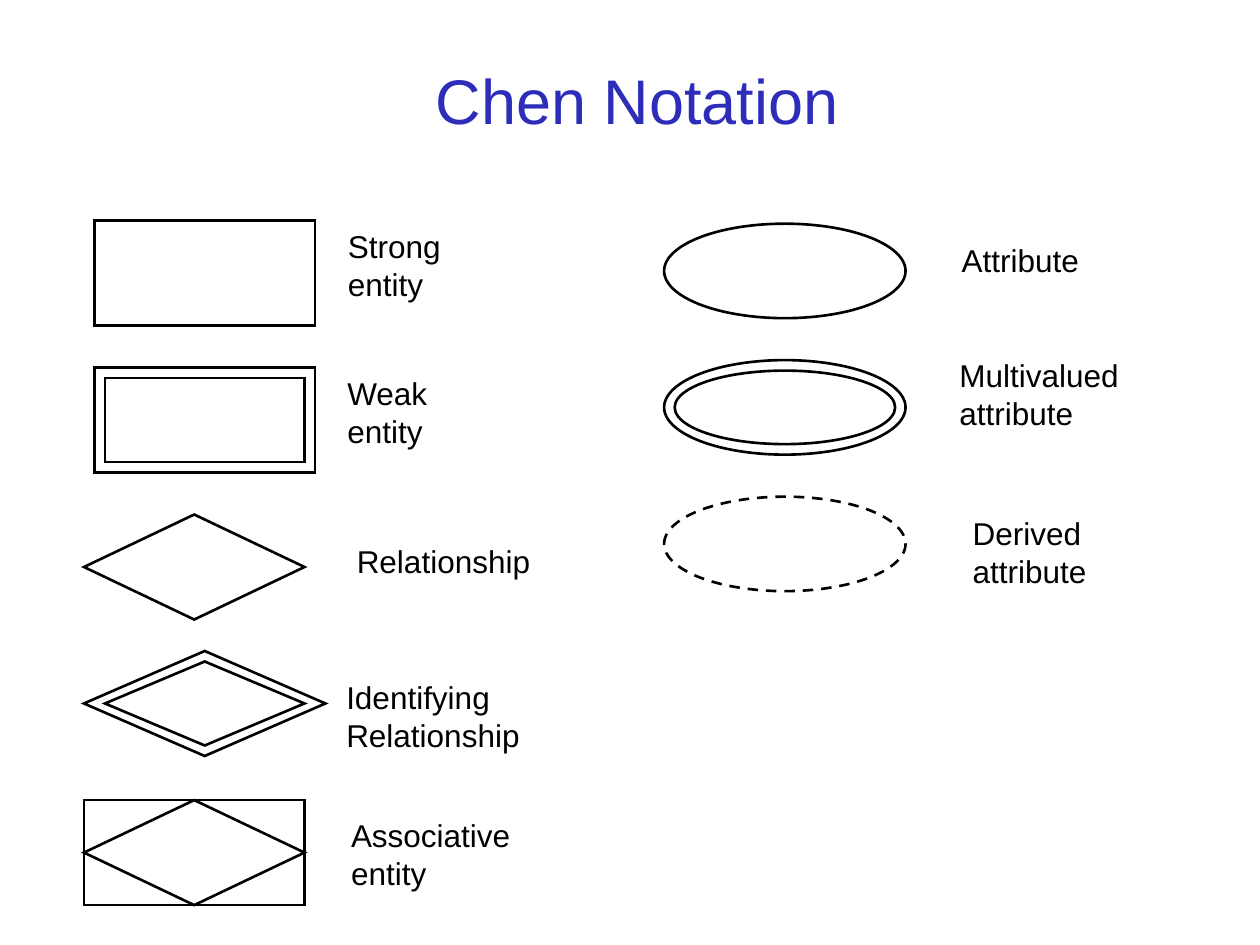
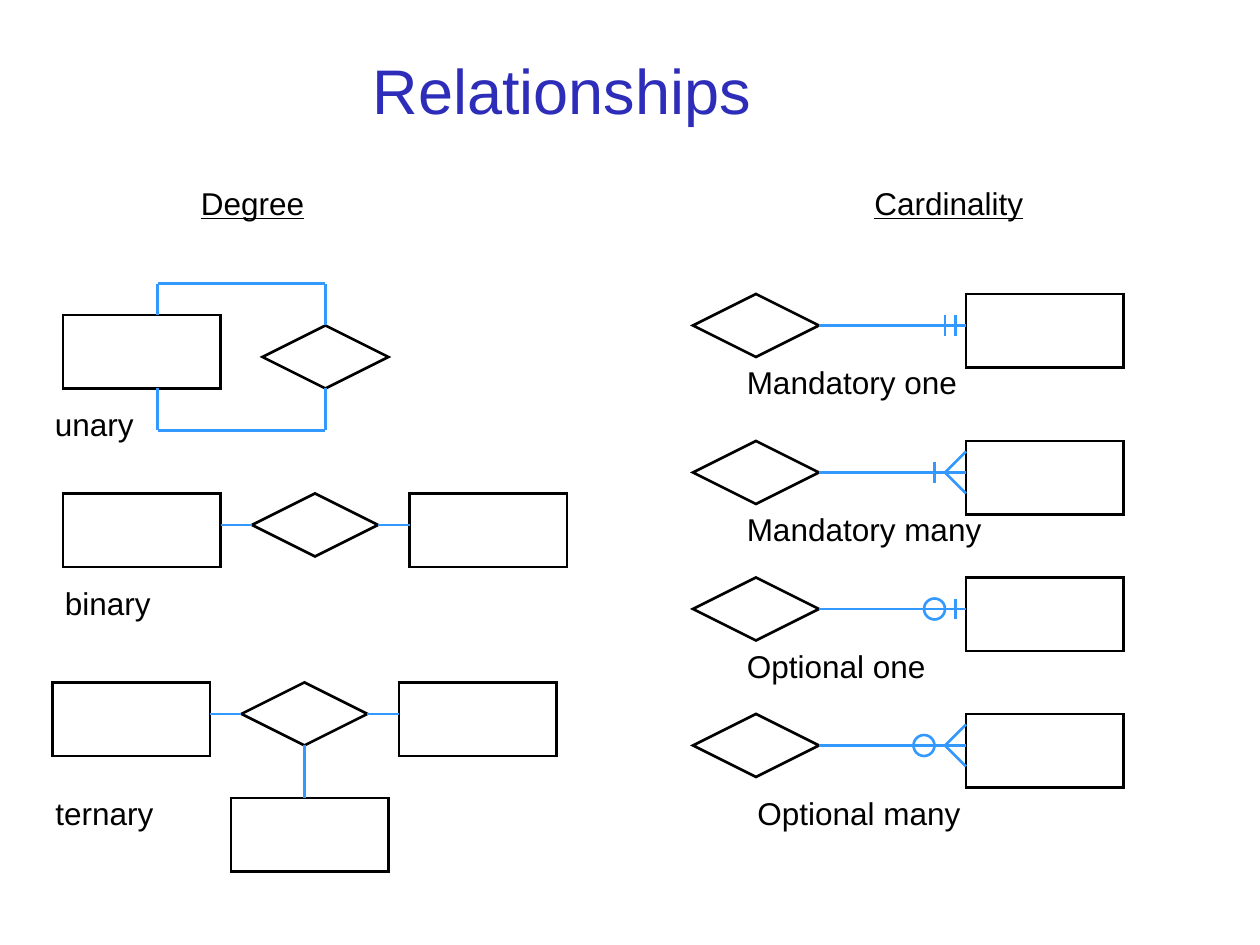
from dataclasses import dataclass

from lxml.etree import SubElement
from pptx import Presentation
from pptx.dml.color import RGBColor
from pptx.enum.dml import MSO_LINE
from pptx.enum.shapes import MSO_CONNECTOR, MSO_SHAPE
from pptx.enum.text import MSO_ANCHOR, MSO_AUTO_SIZE, PP_ALIGN
from pptx.oxml.ns import qn
from pptx.util import Cm, Length, Pt

COLORS = {"title": "2D2DB9", "ink": "000000", "link": "3399FF"}
FONT = "Arial"
RECT = MSO_SHAPE.RECTANGLE
DIAMOND = MSO_SHAPE.FLOWCHART_DECISION
OVAL = MSO_SHAPE.OVAL


@dataclass
class Label:
    text: str
    x: float
    y: float
    w: float
    under: bool = False


@dataclass
class Inner:
    kind: MSO_SHAPE
    dx: float
    dy: float


@dataclass
class Symbol:
    kind: MSO_SHAPE
    x: float
    y: float
    w: float
    h: float
    label: Label
    inner: Inner | None = None
    dash: bool = False


@dataclass
class Rule:
    """One cardinality row: tick, ring and crow's foot at the entity end."""
    y: float
    label: Label
    ticks: tuple = ()
    ring: float | None = None
    many: bool = False


def grid(n: float) -> Length:
    """Both slides sit on a grid of twelve cells to 2.54 cm."""
    return Cm(n * 2.54 / 12)


def paint(name: str) -> RGBColor:
    return RGBColor.from_string(COLORS[name])


def style(font, size: float, color: str) -> None:
    font.name, font.size = FONT, Pt(size)
    font.color.rgb = paint(color)


def stroke(line, color: str) -> None:
    line.color.rgb = paint(color)
    line.width = Pt(1.5)


def add_slide(deck, text: str, x: float, y: float, w: float):
    slide = deck.slides.add_slide(deck.slide_layouts[5])
    title = slide.shapes.title
    title.left, title.top = grid(x), grid(y)
    title.width, title.height = grid(w), grid(9)
    frame = title.text_frame
    frame.vertical_anchor = MSO_ANCHOR.MIDDLE
    para = frame.paragraphs[0]
    para.text, para.alignment = text, PP_ALIGN.CENTER
    style(para.font, 36, "title")
    return slide


def draw(shapes, kind: MSO_SHAPE, x: float, y: float, w: float, h: float,
         color: str = "ink"):
    shape = shapes.add_shape(kind, grid(x), grid(y), grid(w), grid(h))
    shape.shadow.inherit = False
    shape.fill.background()
    stroke(shape.line, color)
    # Sharp corners
    SubElement(shape.element.spPr.find(qn("a:ln")), qn("a:miter"), lim="800000")
    return shape


def join(shapes, x1: float, y1: float, x2: float, y2: float) -> None:
    link = shapes.add_connector(MSO_CONNECTOR.STRAIGHT, grid(x1), grid(y1),
                                grid(x2), grid(y2))
    stroke(link.line, "link")
    SubElement(link.element.spPr, qn("a:effectLst"))


def write(shapes, label: Label) -> None:
    high = 8.4 if "\n" in label.text else 4.8
    box = shapes.add_textbox(grid(label.x), grid(label.y), grid(label.w),
                             grid(high))
    frame = box.text_frame
    frame.word_wrap = False
    frame.auto_size = MSO_AUTO_SIZE.SHAPE_TO_FIT_TEXT
    para = frame.paragraphs[0]
    para.text = label.text
    style(para.font, 18, "ink")
    if label.under:
        para.font.underline = True


def draw_symbol(shapes, sym: Symbol) -> None:
    home = shapes.add_group_shape().shapes if sym.inner else shapes
    outer = draw(home, sym.kind, sym.x, sym.y, sym.w, sym.h)
    if sym.dash:
        outer.line.dash_style = MSO_LINE.DASH
    if sym.inner:
        dx, dy = sym.inner.dx, sym.inner.dy
        draw(home, sym.inner.kind, sym.x + dx, sym.y + dy,
             sym.w - 2 * dx, sym.h - 2 * dy)
    write(shapes, sym.label)


def entity(shapes, x: float, y: float) -> None:
    draw(shapes, RECT, x, y, 15, 7)


def diamond(shapes, x: float, y: float) -> None:
    draw(shapes, DIAMOND, x, y, 12, 6)


def draw_pair(shapes, x: float, y: float) -> None:
    """Entity, relationship, entity in a row."""
    entity(shapes, x, y)
    diamond(shapes, x + 18, y)
    entity(shapes, x + 33, y)
    for start in (x + 15, x + 30):
        join(shapes, start, y + 3, start + 3, y + 3)


def draw_rule(shapes, rule: Rule) -> None:
    edge, mid = 92, rule.y + 3
    diamond(shapes, 66, rule.y)
    entity(shapes, edge, rule.y)
    join(shapes, 78, mid, edge, mid)
    for x in rule.ticks:
        join(shapes, x, mid + 1, x, mid - 1)
    if rule.ring is not None:
        draw(shapes, OVAL, rule.ring, mid - 1, 2, 2, "link")
    if rule.many:
        for dy in (2, -2):
            join(shapes, edge, mid + dy, edge - 2, mid)
    write(shapes, rule.label)


deck = Presentation()
deck.slide_width, deck.slide_height = Cm(25.4), Cm(19.05)

# Slide 1: the symbols
SYMBOLS = [
    Symbol(RECT, 9, 21, 21, 10, Label("Strong\nentity", 31.95, 21.05, 11.6)),
    Symbol(RECT, 9, 35, 21, 10, Label("Weak\nentity", 31.9, 35.05, 10.5)),
    Symbol(DIAMOND, 8, 49, 21, 10, Label("Relationship", 32.8, 51, 19.2)),
    Symbol(DIAMOND, 8, 62, 23, 10,
           Label("Identifying\nRelationship", 31.8, 64, 19.2),
           Inner(DIAMOND, 2, 1)),
    Symbol(RECT, 8, 76.2, 21, 10,
           Label("Associative\nentity", 32.25, 77.15, 17.9),
           Inner(DIAMOND, 0, 0)),
    Symbol(OVAL, 63.25, 21.3, 23, 9, Label("Attribute", 90.4, 22.35, 14)),
    Symbol(OVAL, 63.25, 34.3, 23, 9,
           Label("Multivalued\nattribute", 90.2, 33.3, 17.9),
           Inner(OVAL, 1, 1)),
    Symbol(OVAL, 63.25, 47.3, 23, 9,
           Label("Derived\nattribute", 91.45, 48.35, 13.6), dash=True),
]
SYMBOLS[1].inner = Inner(RECT, 1, 1)
shapes = add_slide(deck, "Chen Notation ", 19, 5, 85).shapes
for sym in SYMBOLS:
    draw_symbol(shapes, sym)

# Slide 2: degree on the left, cardinality on the right
shapes = add_slide(deck, "Relationships", 20, 4, 67).shapes
LABELS = [
    Label("Degree", 17.95, 16.9, 12.6, under=True),
    Label("Cardinality", 82.1, 16.9, 17, under=True),
    Label("unary", 4.05, 38, 10.2),
    Label("binary", 5, 55, 11),
    Label("ternary", 4.1, 75, 12.2),
]
for label in LABELS:
    write(shapes, label)

# Unary: one entity looped through a relationship
entity(shapes, 6, 30)
diamond(shapes, 25, 31)
for bend, box_y, tip_y in ((27, 30, 31), (41, 37, 37)):
    join(shapes, 15, bend, 31, bend)
    join(shapes, 15, box_y, 15, bend)
    join(shapes, 31, tip_y, 31, bend)

# Binary, then ternary with a third entity below
draw_pair(shapes, 6, 47)
draw_pair(shapes, 5, 65)
entity(shapes, 22, 76)
join(shapes, 29, 76, 29, 71)

# Cardinality rows
RULES = [
    Rule(28, Label("Mandatory one", 69.95, 34, 22.8), ticks=(90, 91)),
    Rule(42, Label("Mandatory many", 69.95, 48, 25.2), ticks=(89,), many=True),
    Rule(55, Label("Optional one", 69.95, 61, 19.8), ticks=(91,), ring=88),
    Rule(68, Label("Optional many", 70.95, 75, 22.2), ring=87, many=True),
]
for rule in RULES:
    draw_rule(shapes, rule)

deck.save("out.pptx")
